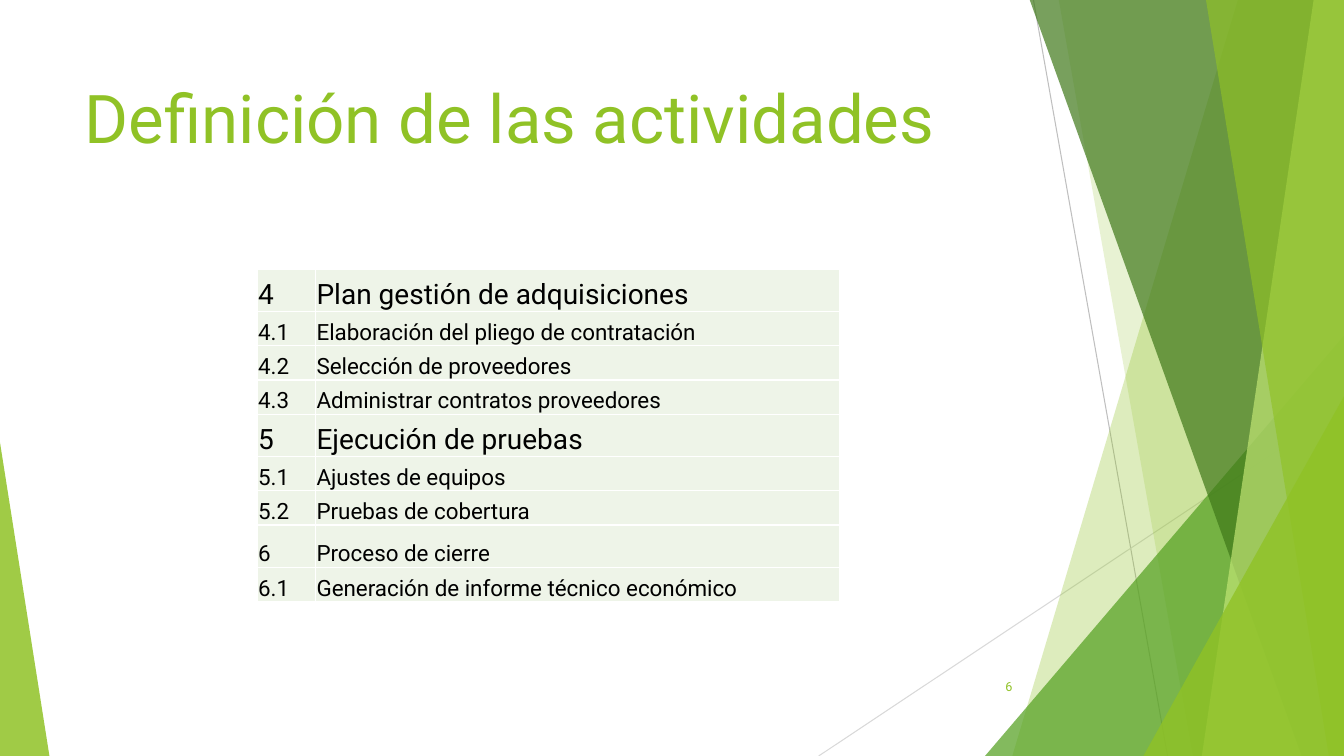
from dataclasses import dataclass

from lxml import etree
from pptx import Presentation
from pptx.dml.color import RGBColor
from pptx.enum.shapes import MSO_CONNECTOR, MSO_SHAPE
from pptx.enum.text import MSO_ANCHOR, PP_ALIGN
from pptx.oxml.ns import qn
from pptx.util import Inches, Pt

LINE = MSO_CONNECTOR.STRAIGHT
TRIANGLE = MSO_SHAPE.ISOSCELES_TRIANGLE
LEFT, RIGHT = PP_ALIGN.LEFT, PP_ALIGN.RIGHT
MIDDLE, BOTTOM = MSO_ANCHOR.MIDDLE, MSO_ANCHOR.BOTTOM
TITLE_ONLY = 5


@dataclass(frozen=True)
class Theme:
    font: str = "Roboto"
    lime: str = "90C226"
    green: str = "54A021"
    forest: str = "3F7819"
    pale: str = "C0E474"
    row: str = "EEF4E8"
    white: str = "FFFFFF"
    black: str = "000000"
    gray: str = "BFBFBF"
    silver: str = "D9D9D9"
    title: int = 48
    head: int = 20
    body: int = 16
    page: int = 9


THEME = Theme()
WIDE, HIGH, TOP = 13.33, 7.5, -0.01

RAYS = [
    ((10.25, 0), (11.58, HIGH), THEME.gray),
    ((WIDE, 4.03), (8.12, HIGH), THEME.silver),
]
BACK = [
    (12.28, 10.04, THEME.lime, 30),
    (10.5, 11.83, THEME.lime, 20),
]
FRONT = [
    (10.21, 12.91, THEME.forest, 70),
    (13.03, 11.92, THEME.pale, 70),
    (11.96, 13.18, THEME.lime, 65),
]
TASKS = [
    ("4", "Plan gestión de adquisiciones", 0.42, THEME.head),
    ("4.1", "Elaboración del pliego de contratación", 0.34, THEME.body),
    ("4.2", "Selección de proveedores", 0.34, THEME.body),
    ("4.3", "Administrar contratos proveedores", 0.34, THEME.body),
    ("5", "Ejecución de pruebas", 0.42, THEME.head),
    ("5.1", "Ajustes de equipos", 0.34, THEME.body),
    ("5.2", "Pruebas de cobertura", 0.34, THEME.body),
    ("6", "Proceso de cierre", 0.42, THEME.body),
    ("6.1", "Generación de informe técnico económico", 0.34, THEME.body),
]
COLS = [0.58, 5.2]


def apply(item, values):
    for name, value in values.items():
        setattr(item, name, value)


def place(shape, *box):
    sides = ("left", "top", "width", "height")
    apply(shape, dict(zip(sides, map(Inches, box))))


def paint(shape, color, alpha):
    shape.shadow.inherit = False
    shape.line.fill.background()
    shape.fill.solid()
    shape.fill.fore_color.rgb = RGBColor.from_string(color)
    tint = shape.fill._xPr.find(qn("a:solidFill"))[0]
    etree.SubElement(tint, qn("a:alpha"), val=str(alpha * 1000))


def ray(slide, start, end, color):
    points = map(Inches, (*start, *end))
    line = slide.shapes.add_connector(LINE, *points)
    line.line.width = Pt(0.75)
    line.line.color.rgb = RGBColor.from_string(color)
    etree.SubElement(line._element.spPr, qn("a:effectLst"))


def shard(slide, top, foot, color, alpha):
    ends = [(top, TOP), (WIDE, TOP), (WIDE, HIGH), (foot, HIGH)]
    points = [(Inches(x), Inches(y)) for x, y in ends]
    form = slide.shapes.build_freeform(*points[0])
    form.add_line_segments(points[1:], close=True)
    paint(form.convert_to_shape(), color, alpha)


def wedge(slide, left, top, width, apex, color, alpha):
    box = map(Inches, (left, top, width, HIGH - top))
    shape = slide.shapes.add_shape(TRIANGLE, *box)
    shape.adjustments[0] = apex
    paint(shape, color, alpha)


def write(frame, text, size, color, align=LEFT):
    para = frame.paragraphs[0]
    para.alignment = align
    run = para.add_run()
    run.text = text
    apply(run.font, {"name": THEME.font, "size": Pt(size), "bold": False})
    run.font.color.rgb = RGBColor.from_string(color)


def border(cell):
    props = cell._tc.get_or_add_tcPr()
    for side in ("lnL", "lnR", "lnT", "lnB"):
        line = etree.SubElement(props, qn(f"a:{side}"), w=str(Pt(1)))
        fill = etree.SubElement(line, qn("a:solidFill"))
        etree.SubElement(fill, qn("a:srgbClr"), val=THEME.white)


def fill_cell(cell, text, size):
    border(cell)
    cell.fill.solid()
    cell.fill.fore_color.rgb = RGBColor.from_string(THEME.row)
    edge = Inches(0.01)
    apply(cell, {
        "margin_left": edge, "margin_right": edge, "margin_top": edge,
        "margin_bottom": 0, "vertical_anchor": BOTTOM,
    })
    write(cell.text_frame, text, size, THEME.black)


def task_table(slide):
    high = sum(task[2] for task in TASKS)
    box = map(Inches, (2.55, 2.67, sum(COLS), high))
    table = slide.shapes.add_table(len(TASKS), len(COLS), *box).table
    apply(table, {"first_row": False, "horz_banding": False})
    for col, width in zip(table.columns, COLS):
        col.width = Inches(width)
    for row, (code, name, height, size) in zip(table.rows, TASKS):
        row.height = Inches(height)
        for cell, text in zip(row.cells, (code, name)):
            fill_cell(cell, text, size)


def title(slide, text):
    shape = slide.shapes.title
    place(shape, 0.74, 0.67, 9.4, 0.97)
    apply(shape.text_frame, {"word_wrap": True, "vertical_anchor": MIDDLE})
    write(shape.text_frame, text, THEME.title, THEME.lime)
    tree = slide.shapes._spTree
    tree.append(shape._element)


def page(slide, text):
    box = map(Inches, (9.39, 6.61, 0.75, 0.4))
    frame = slide.shapes.add_textbox(*box).text_frame
    apply(frame, {"word_wrap": True, "vertical_anchor": MIDDLE})
    write(frame, text, THEME.page, THEME.lime, RIGHT)


def main():
    deck = Presentation()
    apply(deck, {"slide_width": Inches(WIDE), "slide_height": Inches(HIGH)})
    slide = deck.slides.add_slide(deck.slide_layouts[TITLE_ONLY])
    for item in RAYS:
        ray(slide, *item)
    for item in BACK:
        shard(slide, *item)
    wedge(slide, 9.77, 3.33, 3.56, 1, THEME.green, 72)
    for item in FRONT:
        shard(slide, *item)
    wedge(slide, 11.34, 3.93, 1.99, 1, THEME.lime, 80)
    wedge(slide, 0, 4.39, 0.49, 0, THEME.lime, 85)
    title(slide, "Definición de las actividades")
    task_table(slide)
    page(slide, "6")
    deck.save("out.pptx")


main()
